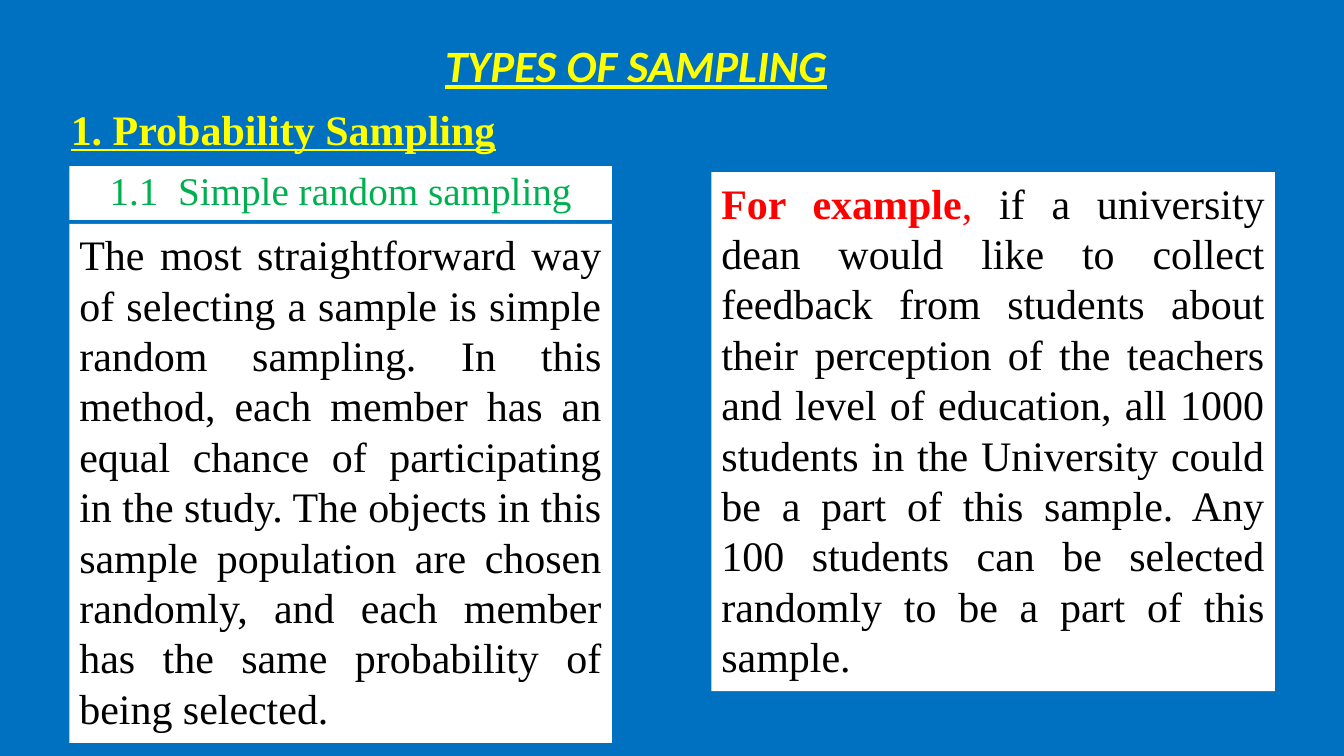
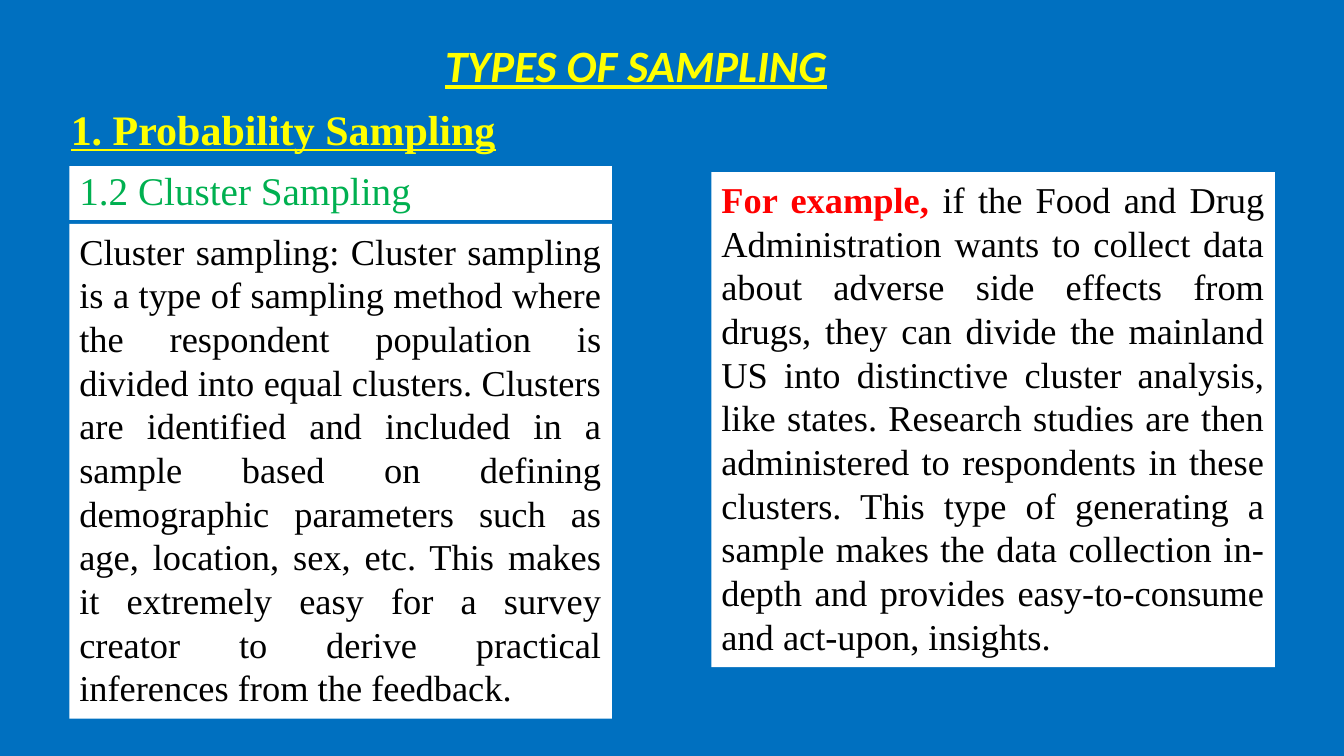
"""Build two slides on types of probability sampling."""
from dataclasses import dataclass

from pptx import Presentation
from pptx.dml.color import RGBColor
from pptx.enum.shapes import MSO_SHAPE
from pptx.enum.text import MSO_ANCHOR, MSO_AUTO_SIZE, PP_ALIGN
from pptx.util import Cm, Pt

RECT = MSO_SHAPE.RECTANGLE
TOP, MIDDLE = MSO_ANCHOR.TOP, MSO_ANCHOR.MIDDLE
GROW = MSO_AUTO_SIZE.SHAPE_TO_FIT_TEXT
LEFT, CENTER, JUSTIFY = PP_ALIGN.LEFT, PP_ALIGN.CENTER, PP_ALIGN.JUSTIFY


@dataclass(frozen=True)
class Theme:
    """Colours, fonts and type sizes of the deck."""
    back: RGBColor = RGBColor(0x00, 0x70, 0xC0)
    panel: RGBColor = RGBColor(0xFF, 0xFF, 0xFF)
    title: RGBColor = RGBColor(0xFF, 0xFF, 0x00)
    topic: RGBColor = RGBColor(0x00, 0xB0, 0x50)
    lead: RGBColor = RGBColor(0xFF, 0x00, 0x00)
    ink: RGBColor = RGBColor(0x00, 0x00, 0x00)
    sans: str = "Calibri"
    serif: str = "Times New Roman"
    title_size: int = 32
    part_size: int = 30
    topic_size: int = 28


THEME = Theme()

TITLE_BOX = (8.53, 0.97, 15.01, 1.5)
PART_BOX = (1.4, 2.62, 11.48, 1.42)
LEFT_BOX = (1.75, 4.19, 13.67)
RIGHT_BOX = (17.93, 4.34, 14.2)
TOPIC_HIGH = 1.35
TOPIC_GAP = 0.1

TOPICS = [
    dict(
        topic="1.1  Simple random sampling", align=CENTER, size=30, high=13.08,
        text="The most straightforward way of selecting a sample is simple "
             "random sampling. In this method, each member has an equal chance "
             "of participating in the study. The objects in this sample "
             "population are chosen randomly, and each member has the same "
             "probability of being selected.",
        case=[
            ("For example", THEME.lead, True),
            (", ", THEME.lead, False),
            ("if a university dean would like to collect feedback from "
             "students about their perception of the teachers and level of "
             "education, all 1000 students in the University could be a part "
             "of this sample. Any 100 students can be selected randomly to be "
             "a part of this sample.", THEME.ink, False),
        ],
    ),
    dict(
        topic="1.2 Cluster Sampling", align=LEFT, size=26, high=12.47,
        text="Cluster sampling: Cluster sampling is a type of sampling method "
             "where the respondent population is divided into equal clusters. "
             "Clusters are identified and included in a sample based on "
             "defining demographic parameters such as age, location, sex, etc. "
             "This makes it extremely easy for a survey creator to derive "
             "practical inferences from the feedback.",
        case=[
            ("For example, ", THEME.lead, True),
            ("if the Food and Drug Administration wants to collect data about "
             "adverse side effects from drugs, they can divide the mainland US "
             "into distinctive cluster analysis, like states. Research studies "
             "are then administered to respondents in these clusters. This "
             "type of generating a sample makes the data collection in-depth "
             "and provides easy-to-consume and act-upon, insights.",
             THEME.ink, False),
        ],
    ),
]


def set_text(shape, runs, size, face, align, anchor):
    """Write coloured runs into a shape and return its paragraph."""
    frame = shape.text_frame
    frame.word_wrap = True
    frame.auto_size = GROW
    frame.vertical_anchor = anchor
    para = frame.paragraphs[0]
    para.alignment = align
    para.line_spacing = 0.9 if anchor == MIDDLE else 1.0
    para.font.size = Pt(size)
    para.font.name = face
    for words, color, bold in runs:
        run = para.add_run()
        run.text = words
        run.font.color.rgb = color
        run.font.bold = bold
    return para


def add_head(slide, box, words, size, face, italic=False):
    """Add an underlined yellow heading."""
    shape = slide.shapes.add_textbox(*map(Cm, box))
    runs = [(words, THEME.title, True)]
    para = set_text(shape, runs, size, face, CENTER, MIDDLE)
    para.font.underline = True
    para.font.italic = italic


def add_panel(slide, box, runs, size, align=JUSTIFY, anchor=TOP):
    """Add a white panel with serif text."""
    shape = slide.shapes.add_shape(RECT, *map(Cm, box))
    shape.shadow.inherit = False
    shape.fill.solid()
    shape.fill.fore_color.rgb = THEME.panel
    shape.line.fill.background()
    set_text(shape, runs, size, THEME.serif, align, anchor)


def add_topic(slide, box, item):
    """Stack the topic strip over its description."""
    left, top, wide = box
    add_panel(slide, (left, top, wide, TOPIC_HIGH),
              [(item["topic"], THEME.topic, False)],
              THEME.topic_size, item["align"], MIDDLE)
    add_panel(slide, (left, top + TOPIC_HIGH + TOPIC_GAP, wide, item["high"]),
              [(item["text"], THEME.ink, False)], item["size"])


def add_slide(deck, item):
    """Add one sampling slide with headings, topic and example."""
    slide = deck.slides.add_slide(deck.slide_layouts[6])
    add_head(slide, TITLE_BOX, "TYPES OF SAMPLING",
             THEME.title_size, THEME.sans, italic=True)
    add_topic(slide, LEFT_BOX, item)
    add_panel(slide, (*RIGHT_BOX, item["high"]), item["case"], item["size"])
    add_head(slide, PART_BOX, "1. Probability Sampling",
             THEME.part_size, THEME.serif)


def main():
    """Build and save the deck."""
    deck = Presentation()
    deck.slide_width, deck.slide_height = Cm(33.87), Cm(19.05)
    fill = deck.slide_master.background.fill
    fill.solid()
    fill.fore_color.rgb = THEME.back
    for item in TOPICS:
        add_slide(deck, item)
    deck.save("out.pptx")


if __name__ == "__main__":
    main()
